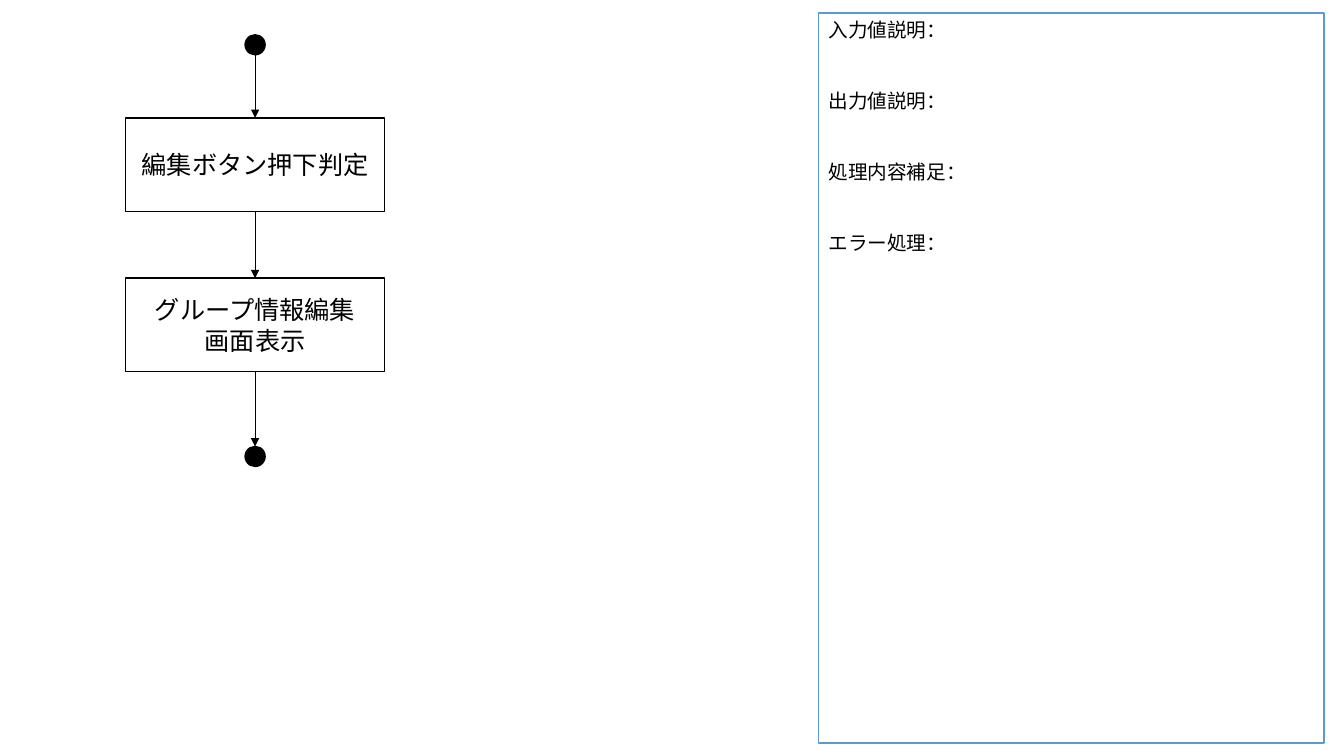
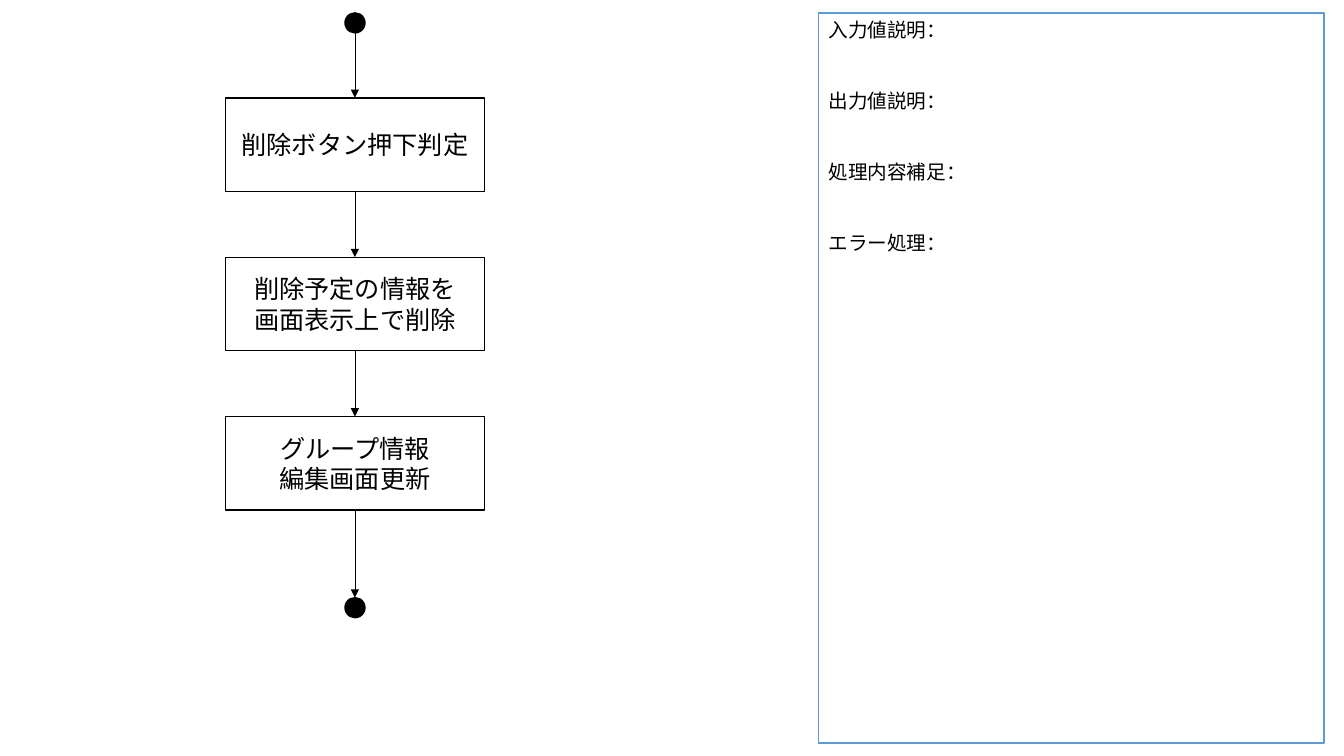
from dataclasses import dataclass

from pptx import Presentation
from pptx import util as u
from pptx.dml.color import RGBColor
from pptx.enum import shapes, text
from pptx.oxml.ns import qn
from lxml import etree

SLIDE_W = u.Inches(13.33)
SLIDE_H = u.Inches(7.5)


@dataclass(frozen=True)
class Theme:
    ink: RGBColor = RGBColor(0x00, 0x00, 0x00)
    paper: RGBColor = RGBColor(0xFF, 0xFF, 0xFF)
    panel_edge: RGBColor = RGBColor(0x5B, 0x9B, 0xD5)
    font: str = "Calibri"
    step_size: u.Length = u.Pt(18)
    note_size: u.Length = u.Pt(14)
    note_gap: u.Length = u.Pt(34)
    outline: u.Length = u.Pt(1)
    arrow: u.Length = u.Pt(0.5)


THEME = Theme()


def across(percent):
    return round(SLIDE_W * percent / 100)


def down(percent):
    return round(SLIDE_H * percent / 100)


STEP_W, STEP_H = across(19.28), down(12.35)
DOT = down(2.65)
NOTES = ["入力値説明：", "出力値説明：", "処理内容補足：", "エラー処理："]


@dataclass(frozen=True)
class Flow:
    """One flowchart; lengths are percentages of the slide's size."""
    centre: float
    start: float
    first_step: float
    pitch: float
    end: float
    steps: tuple


FLOWS = [
    Flow(18.98, 4.6, 15.6, 21.2, 59.05,
         (["編集ボタン押下判定"],
          ["グループ情報編集", "画面表示"])),
    Flow(26.41, 1.7, 12.95, 21.07, 79.05,
         (["削除ボタン押下判定"],
          ["削除予定の情報を", "画面表示上で削除"],
          ["グループ情報", "編集画面更新"])),
]


def add_outlined(slide, kind, box, fill, edge):
    shape = slide.shapes.add_shape(kind, *box)
    shape.shadow.inherit = False
    shape.fill.solid()
    shape.fill.fore_color.rgb = fill
    shape.line.color.rgb = edge
    shape.line.width = THEME.outline
    return shape


def write_lines(shape, lines, size, align, anchor, gap=0):
    frame = shape.text_frame
    frame.word_wrap = True
    frame.vertical_anchor = anchor
    for index, line in enumerate(lines):
        paragraph = frame.add_paragraph() if index else frame.paragraphs[0]
        paragraph.text = line
        paragraph.alignment = align
        paragraph.space_after = gap
        paragraph.font.name = THEME.font
        paragraph.font.size = size
        paragraph.font.color.rgb = THEME.ink


def add_dot(slide, centre, top):
    return add_outlined(slide, shapes.MSO_SHAPE.OVAL,
                        (centre - DOT // 2, top, DOT, DOT),
                        THEME.ink, THEME.ink)


def add_step(slide, centre, top, lines):
    step = add_outlined(slide, shapes.MSO_SHAPE.FLOWCHART_PROCESS,
                        (centre - STEP_W // 2, top, STEP_W, STEP_H),
                        THEME.paper, THEME.ink)
    write_lines(step, lines, THEME.step_size,
                text.PP_ALIGN.CENTER, text.MSO_ANCHOR.MIDDLE)
    return step


def add_arrow(slide, centre, upper, lower):
    arrow = slide.shapes.add_connector(
        shapes.MSO_CONNECTOR.STRAIGHT,
        centre, upper.top + upper.height, centre, lower.top)
    arrow.line.color.rgb = THEME.ink
    arrow.line.width = THEME.arrow
    etree.SubElement(arrow.line._get_or_add_ln(), qn("a:tailEnd"),
                     type="triangle")
    etree.SubElement(arrow._element.spPr, qn("a:effectLst"))


def add_flow(slide, flow):
    centre = across(flow.centre)
    nodes = [add_dot(slide, centre, down(flow.start))]
    for row, lines in enumerate(flow.steps):
        top = down(flow.first_step + row * flow.pitch)
        nodes.append(add_step(slide, centre, top, lines))
    nodes.append(add_dot(slide, centre, down(flow.end)))
    for upper, lower in zip(nodes, nodes[1:]):
        add_arrow(slide, centre, upper, lower)


def add_notes_panel(slide):
    panel = add_outlined(slide, shapes.MSO_SHAPE.FLOWCHART_PROCESS,
                         (across(60.9), down(1.7), across(37.6), down(96.6)),
                         THEME.paper, THEME.panel_edge)
    write_lines(panel, NOTES, THEME.note_size,
                text.PP_ALIGN.LEFT, text.MSO_ANCHOR.TOP, THEME.note_gap)


def main():
    deck = Presentation()
    deck.slide_width, deck.slide_height = SLIDE_W, SLIDE_H
    blank = deck.slide_layouts[6]
    for flow in FLOWS:
        slide = deck.slides.add_slide(blank)
        add_notes_panel(slide)
        add_flow(slide, flow)
    deck.save("out.pptx")


if __name__ == "__main__":
    main()
